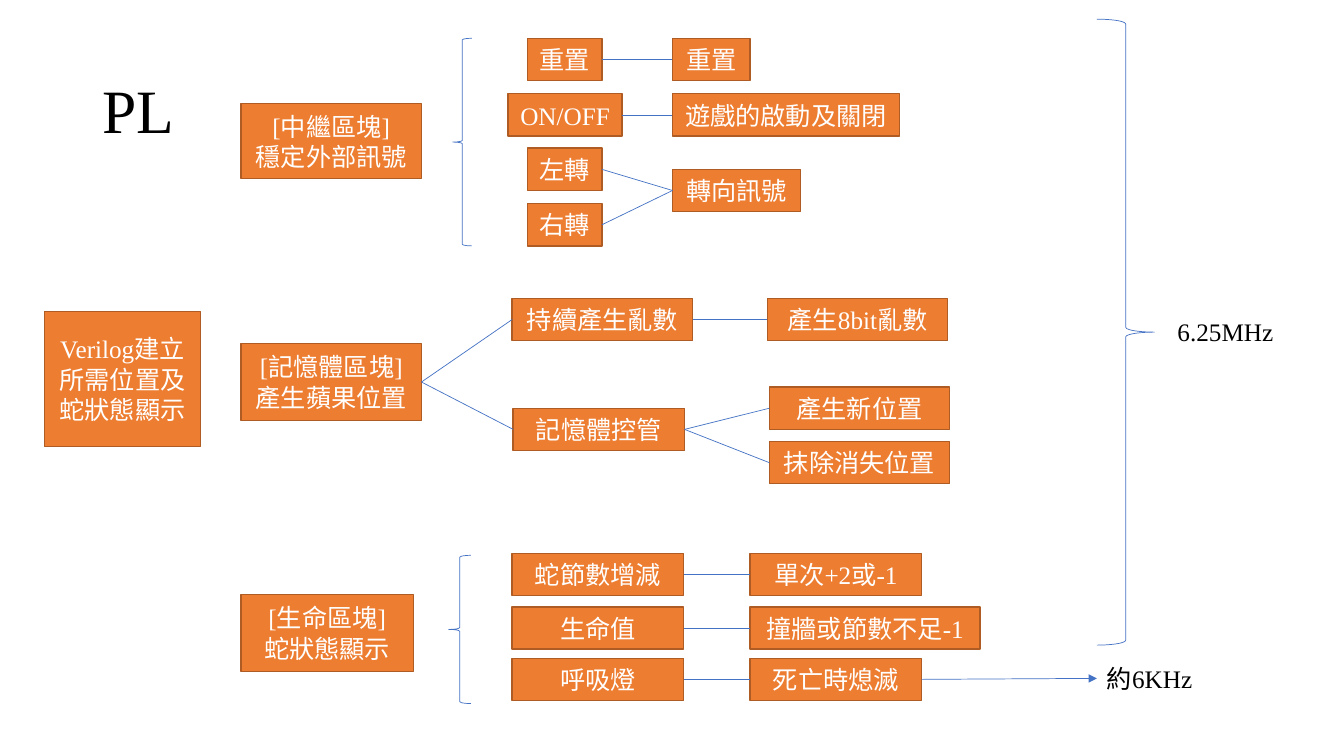
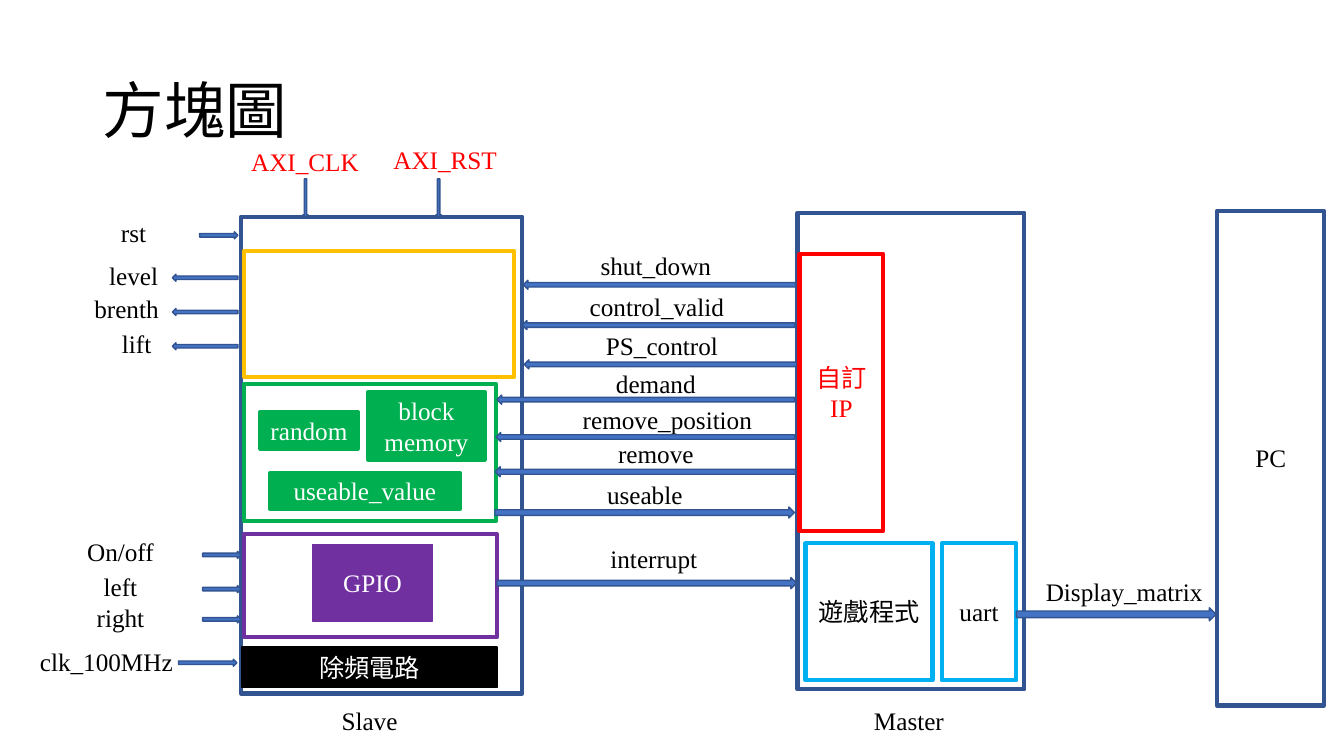
from lxml import etree
from pptx import Presentation
from pptx.dml.color import RGBColor
from pptx.enum.shapes import MSO_CONNECTOR, MSO_SHAPE
from pptx.enum.text import MSO_ANCHOR, PP_ALIGN
from pptx.oxml.ns import qn
from pptx.util import Inches, Pt

RECT, ARROW = MSO_SHAPE.RECTANGLE, MSO_SHAPE.RIGHT_ARROW
LEFT_BRACE, RIGHT_BRACE = MSO_SHAPE.LEFT_BRACE, MSO_SHAPE.RIGHT_BRACE
STRAIGHT = MSO_CONNECTOR.STRAIGHT
MIDDLE = MSO_ANCHOR.MIDDLE
LEFT, CENTER = PP_ALIGN.LEFT, PP_ALIGN.CENTER

BLACK = RGBColor(0x00, 0x00, 0x00)
WHITE = RGBColor(0xFF, 0xFF, 0xFF)
RED = RGBColor(0xFF, 0x00, 0x00)
ORANGE = RGBColor(0xED, 0x7D, 0x31)
RUST = RGBColor(0xAF, 0x5C, 0x24)
BLUE = RGBColor(0x44, 0x72, 0xC4)
NAVY = RGBColor(0x32, 0x54, 0x91)
GOLD = RGBColor(0xFF, 0xC0, 0x00)
GREEN = RGBColor(0x00, 0xB0, 0x50)
PURPLE = RGBColor(0x70, 0x30, 0xA0)
SKY = RGBColor(0x00, 0xB0, 0xF0)

FONT = "Times New Roman"
RIGHT_SITE, LEFT_SITE = 3, 1
LABEL_W, LABEL_H, STEP_H = 1.75, 0.4, 0.42

BLOCKS = {
    "verilog": ("Verilog建立\n所需位置及蛇狀態顯示", 0.44, 3.09, 1.55, 1.34),
    "relay": ("[中繼區塊]\n穩定外部訊號", 2.39, 1.03, 1.79, 0.74),
    "memory": ("[記憶體區塊]\n產生蘋果位置", 2.39, 3.41, 1.79, 0.76),
    "life": ("[生命區塊]\n蛇狀態顯示", 2.39, 5.9, 1.71, 0.76),
}
STEPS = {
    "reset": ("重置", 5.23, 0.38, 0.74),
    "on_off": ("ON/OFF", 5.04, 0.93, 1.13),
    "turn_left": ("左轉", 5.23, 1.47, 0.74),
    "turn_right": ("右轉", 5.23, 2.02, 0.74),
    "reset_out": ("重置", 6.67, 0.38, 0.77),
    "game_power": ("遊戲的啟動及關閉", 6.67, 0.93, 2.25),
    "turn_signal": ("轉向訊號", 6.67, 1.68, 1.27),
    "randomize": ("持續產生亂數", 5.08, 2.96, 1.79),
    "random_8bit": ("產生8bit亂數", 7.61, 2.96, 1.79),
    "memory_control": ("記憶體控管", 5.09, 4.05, 1.7),
    "new_position": ("產生新位置", 7.63, 3.84, 1.79),
    "erase_position": ("抹除消失位置", 7.63, 4.38, 1.79),
    "length": ("蛇節數增減", 5.08, 5.49, 1.7),
    "lives": ("生命值", 5.08, 6.02, 1.7),
    "breath_led": ("呼吸燈", 5.08, 6.53, 1.7),
    "length_change": ("單次+2或-1", 7.44, 5.49, 1.7),
    "life_loss": ("撞牆或節數不足-1", 7.44, 6.02, 2.28),
    "led_off": ("死亡時熄滅", 7.44, 6.53, 1.7),
}
RATES = {
    "fast_clock": ("6.25MHz", 11.58, 3.09, 1.52),
    "slow_clock": ("約6KHz", 10.88, 6.53, 1.52),
}
LINKS = [
    ("reset", "reset_out"),
    ("on_off", "game_power"),
    ("turn_left", "turn_signal"),
    ("turn_right", "turn_signal"),
    ("memory", "randomize"),
    ("memory", "memory_control"),
    ("randomize", "random_8bit"),
    ("memory_control", "new_position"),
    ("memory_control", "erase_position"),
    ("length", "length_change"),
    ("lives", "life_loss"),
    ("breath_led", "led_off"),
    ("led_off", "slow_clock"),
]
ARROW_LINK = ("led_off", "slow_clock")
BRACES = [
    (LEFT_BRACE, 4.49, 0.38, 0.19, 2.06),
    (LEFT_BRACE, 4.45, 5.51, 0.22, 1.47),
    (RIGHT_BRACE, 10.88, 0.19, 0.57, 6.21),
]

FRAMES = [
    ("", 2.39, 2.15, 2.79, 4.73, NAVY),
    ("", 7.91, 2.11, 2.25, 4.73, NAVY),
    ("", 12.07, 2.09, 1.06, 4.91, NAVY),
    ("", 2.42, 2.49, 2.68, 1.25, GOLD),
    ("", 2.42, 3.81, 2.5, 1.36, GREEN),
    ("", 2.42, 5.3, 2.51, 1.02, PURPLE),
    ("自訂IP", 7.93, 2.52, 0.83, 2.75, RED),
    ("遊戲程式", 7.99, 5.39, 1.26, 1.36, SKY),
    ("uart", 9.34, 5.39, 0.74, 1.36, SKY),
]
MODULES = [
    ("block\nmemory", 3.65, 3.89, 1.16, 0.67, GREEN, 3),
    ("random", 2.58, 4.09, 0.97, 0.36, GREEN, 3),
    ("useable_value", 2.68, 4.69, 1.88, 0.36, GREEN, 3),
    ("GPIO", 3.1, 5.4, 1.19, 0.76, PURPLE, 1),
    ("除頻電路", 2.4, 6.42, 2.53, 0.4, BLACK, 1),
]
IN, OUT, DOWN = 0, 180, 90
SIGNALS = [
    ("AXI_CLK", 2.15, 1.4, LABEL_W, RED, (2.84, 1.94, 0.38, 0.05), DOWN),
    ("AXI_RST", 3.54, 1.38, LABEL_W, RED, (4.16, 1.94, 0.38, 0.05), DOWN),
    ("rst", 0.45, 2.11, LABEL_W, BLACK, (1.98, 2.3, 0.38, 0.07), IN),
    ("level", 0.45, 2.53, LABEL_W, BLACK, (1.71, 2.72, 0.65, 0.07), OUT),
    ("brenth", 0.38, 2.86, LABEL_W, BLACK, (1.71, 3.06, 0.65, 0.07), OUT),
    ("lift", 0.48, 3.21, LABEL_W, BLACK, (1.71, 3.4, 0.65, 0.07), OUT),
    ("On/off", 0.32, 5.27, LABEL_W, BLACK, (2.01, 5.47, 0.38, 0.07), IN),
    ("left", 0.32, 5.62, LABEL_W, BLACK, (2.01, 5.81, 0.38, 0.07), IN),
    ("right", 0.32, 5.93, LABEL_W, BLACK, (2.01, 6.11, 0.38, 0.07), IN),
    ("clk_100MHz", 0.18, 6.36, LABEL_W, BLACK, (1.77, 6.54, 0.58, 0.07), IN),
    ("shut_down", 5.63, 2.43, LABEL_W, BLACK, (5.19, 2.78, 2.7, 0.09), OUT),
    ("control_valid", 5.64, 2.84, LABEL_W, BLACK, (5.18, 3.18, 2.7, 0.09), OUT),
    ("PS_control", 5.69, 3.23, LABEL_W, BLACK, (5.2, 3.57, 2.7, 0.09), OUT),
    ("demand", 5.63, 3.61, LABEL_W, BLACK, (4.93, 3.92, 2.95, 0.09), OUT),
    ("remove_position", 5.6, 3.96, 2.04, BLACK, (4.92, 4.29, 2.96, 0.09), OUT),
    ("remove", 5.63, 4.3, LABEL_W, BLACK, (4.91, 4.63, 2.98, 0.1), OUT),
    ("useable", 5.52, 4.71, LABEL_W, BLACK, (4.91, 5.03, 2.97, 0.11), IN),
    ("interrupt", 5.61, 5.34, LABEL_W, BLACK, (4.93, 5.73, 2.97, 0.11), IN),
    ("Display_matrix", 10.06, 5.67, 2.18, BLACK, (10.08, 6.03, 1.98, 0.13), IN),
]
DEVICES = [("Slave", 2.79, 6.95), ("Master", 8.14, 6.95), ("PC", 11.73, 4.34)]


def write(sp, text, color, size=18, align=CENTER):
    tf = sp.text_frame
    tf.word_wrap = True
    tf.text = text
    for p in tf.paragraphs:
        p.alignment = align
        for r in p.runs:
            r.font.name = FONT
            r.font.size = Pt(size)
            r.font.color.rgb = color
    return tf


def add_shape(s, kind, x, y, w, h, line, width, fill=None):
    sp = s.shapes.add_shape(kind, Inches(x), Inches(y), Inches(w), Inches(h))
    sp.shadow.inherit = False
    if fill is None:
        sp.fill.background()
    else:
        sp.fill.solid()
        sp.fill.fore_color.rgb = fill
    sp.line.color.rgb = line
    sp.line.width = Pt(width)
    return sp


def add_box(s, text, x, y, w, h, line, width, fill=None, color=WHITE):
    sp = add_shape(s, RECT, x, y, w, h, line, width, fill)
    if text:
        write(sp, text, color).vertical_anchor = MIDDLE
    return sp


def add_label(s, text, x, y, w=LABEL_W, color=BLACK, align=CENTER):
    sp = s.shapes.add_textbox(Inches(x), Inches(y), Inches(w), Inches(LABEL_H))
    write(sp, text, color, align=align)
    return sp


def add_link(s, start, end, arrow):
    c = s.shapes.add_connector(STRAIGHT, 0, 0, 0, 0)
    c.begin_connect(start, RIGHT_SITE)
    c.end_connect(end, LEFT_SITE)
    c.line.color.rgb = BLUE
    c.line.width = Pt(0.5)
    if arrow:
        ln = c.line._get_or_add_ln()
        etree.SubElement(ln, qn("a:tailEnd"), type="triangle")
    etree.SubElement(c._element.spPr, qn("a:effectLst"))


def add_slide(prs, title):
    s = prs.slides.add_slide(prs.slide_layouts[6])
    sp = s.shapes.add_textbox(Inches(0.92), Inches(0.4), Inches(11.5), Inches(1.45))
    tf = write(sp, title, BLACK, 44, LEFT)
    tf.vertical_anchor = MIDDLE
    tf.paragraphs[0].line_spacing = 0.9
    return s


def build_logic(prs):
    s = add_slide(prs, "PL")
    nodes = {}
    for key, block in BLOCKS.items():
        nodes[key] = add_box(s, *block, RUST, 1, ORANGE)
    for key, step in STEPS.items():
        nodes[key] = add_box(s, *step, STEP_H, RUST, 1, ORANGE)
    for key, rate in RATES.items():
        nodes[key] = add_label(s, *rate, align=LEFT)
    for brace in BRACES:
        add_shape(s, *brace, BLUE, 0.5)
    for link in LINKS:
        add_link(s, nodes[link[0]], nodes[link[1]], link == ARROW_LINK)


def build_diagram(prs):
    s = add_slide(prs, "方塊圖")
    for text, x, y, w, h, line in FRAMES:
        color = RED if line == RED else BLACK
        add_box(s, text, x, y, w, h, line, 3, color=color)
    for text, x, y, w, h, fill, width in MODULES:
        add_box(s, text, x, y, w, h, fill, width, fill)
    for text, x, y, w, color, arrow, direction in SIGNALS:
        add_label(s, text, x, y, w, color)
        add_shape(s, ARROW, *arrow, NAVY, 1, BLUE).rotation = direction
    for device in DEVICES:
        add_label(s, *device)


def main():
    prs = Presentation()
    prs.slide_width, prs.slide_height = Inches(13.33), Inches(7.5)
    build_logic(prs)
    build_diagram(prs)
    prs.save("out.pptx")


if __name__ == "__main__":
    main()
